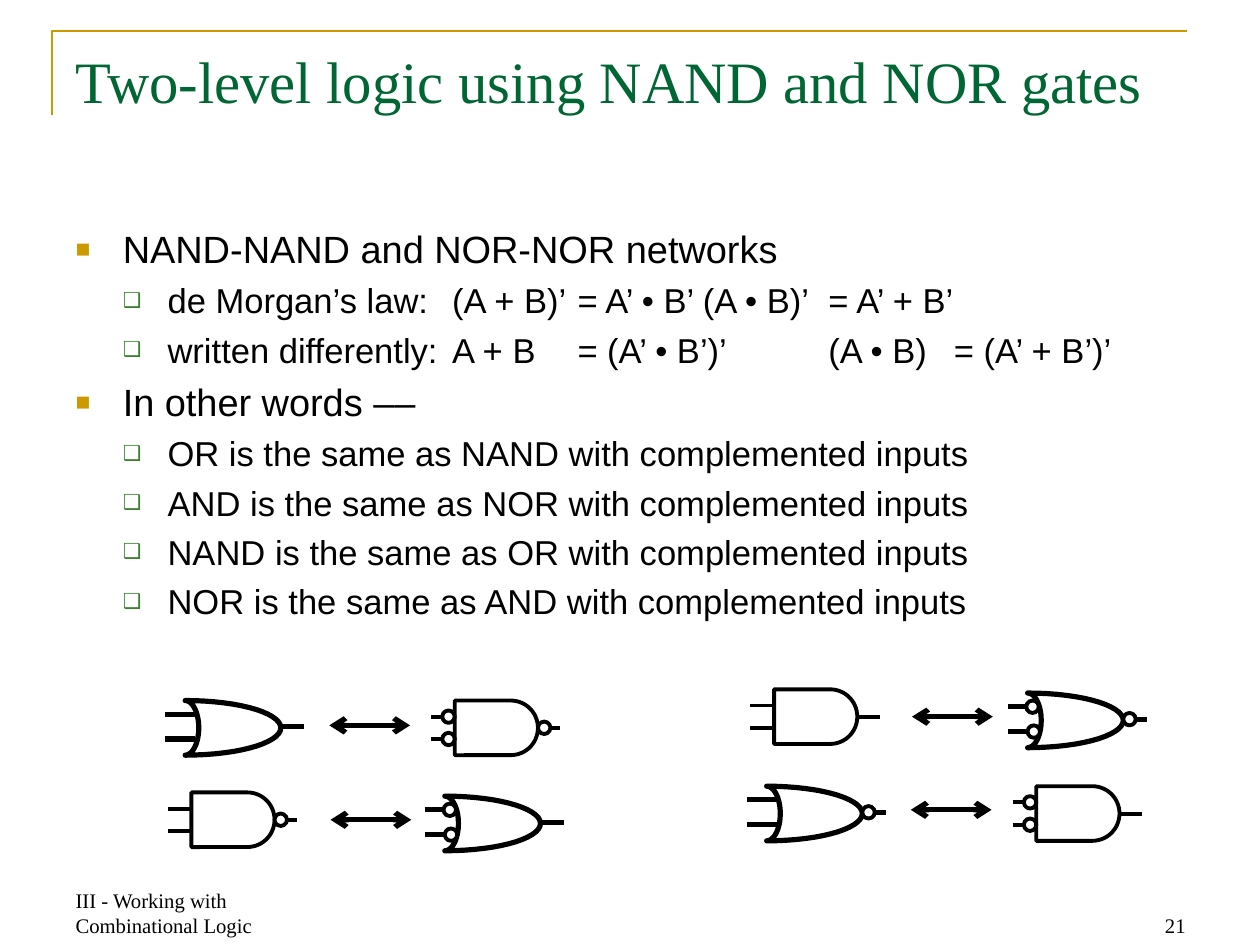
import math
import pptx
import pptx.util
import pptx.dml.color
import pptx.enum.shapes
import pptx.enum.text
import pptx.oxml
from pptx.oxml.ns import qn

Inches, Pt = pptx.util.Inches, pptx.util.Pt
RGBColor = pptx.dml.color.RGBColor
BLACK = RGBColor(0x00, 0x00, 0x00)
WHITE = RGBColor(0xFF, 0xFF, 0xFF)
GOLD = RGBColor(0xCC, 0x99, 0x00)
GREEN = RGBColor(0x00, 0x66, 0x33)
LEAF = RGBColor(0x3B, 0x81, 0x2F)
SERIF, SANS = "Times New Roman", "Arial"

# Content
TITLE = "Two-level logic using NAND and NOR gates"
FOOTER = "III - Working with Combinational Logic"
NUMBER = "21"
BODY = [
    (0, "NAND-NAND and NOR-NOR networks"),
    (1, "de Morgan’s law:\t(A + B)’\t= A’ • B’\t(A • B)’\t= A’ + B’"),
    (1, "written differently:\tA + B\t= (A’ • B’)’\t(A • B)\t= (A’ + B’)’"),
    (0, "In other words ––"),
    (1, "OR is the same as NAND with complemented inputs"),
    (1, "AND is the same as NOR with complemented inputs"),
    (1, "NAND is the same as OR with complemented inputs"),
    (1, "NOR is the same as AND with complemented inputs"),
]
# Per level: size, left margin, hanging indent, bullet, its colour and percent
LEVELS = [(22, 0.38, 0.38, "■", GOLD, 65), (20, 0.74, 0.36, "❑", LEAF, 60)]
TAB = 1.01

# Gates: kind, left, top, bubbles on inputs, bubble on output
GATES = [
    ("or", 1.33, 5.64, False, False), ("and", 3.47, 5.64, True, True),
    ("and", 1.35, 6.38, False, True), ("or", 3.42, 6.41, True, False),
    ("and", 6.04, 5.55, False, False), ("or", 8.11, 5.58, True, True),
    ("or", 6.01, 6.33, False, True), ("and", 8.15, 6.33, True, False),
]
ARROWS = [(2.65, 5.84), (2.66, 6.6), (7.34, 5.77), (7.33, 6.52)]
SPAN = 0.65
# Per kind: line width, input end, input heights, output start and end,
# input bubble centres, output bubble centre
PARTS = {
    "and": (2.25, 0.19, (0.13, 0.31), (0.85, 1.04),
            ((0.14, 0.13), (0.14, 0.31)), (0.91, 0.22)),
    "or": (3, 0.24, (0.11, 0.31), (0.92, 1.12),
           ((0.2, 0.11), (0.21, 0.31)), (0.98, 0.21)),
}
HALF = 0.22  # half the height of a gate

deck = pptx.Presentation()
deck.slide_width, deck.slide_height = Inches(10.14), Inches(7.6)
slide = deck.slides.add_slide(deck.slide_layouts[6])
shapes = slide.shapes


def add_box(left, top, width, height, anchor):
    frame = shapes.add_textbox(*map(Inches, (left, top, width, height))).text_frame
    frame.word_wrap = True
    frame.vertical_anchor = anchor
    return frame


def set_font(para, size, name, color):
    para.font.size, para.font.name = Pt(size), name
    para.font.color.rgb = color


def add_line(x1, y1, x2, y2, width):
    line = shapes.add_connector(pptx.enum.shapes.MSO_CONNECTOR.STRAIGHT,
                                *map(Inches, (x1, y1, x2, y2)))
    line.line.color.rgb, line.line.width = BLACK, Pt(width)
    props = line._element.spPr
    props.append(props.makeelement(qn("a:effectLst"), {}))
    return line


def add_path(points, color, width, close):
    points = [(Inches(x), Inches(y)) for x, y in points]
    pen = shapes.build_freeform(*points[0])
    pen.add_line_segments(points[1:], close=close)
    path = pen.convert_to_shape()
    path.shadow.inherit = False
    path.fill.background()
    path.line.color.rgb, path.line.width = color, Pt(width)


def curve(x, y, reach):
    """Right half of an ellipse, from top to bottom."""
    turns = [math.radians(a) for a in range(-90, 91, 6)]
    return [(x + reach * math.cos(t), y + HALF * math.sin(t)) for t in turns]


def add_bubble(x, y):
    dot = shapes.add_shape(pptx.enum.shapes.MSO_SHAPE.OVAL, Inches(x - 0.05),
                           Inches(y - 0.05), Inches(0.1), Inches(0.1))
    dot.shadow.inherit = False
    dot.fill.solid()
    dot.fill.fore_color.rgb = WHITE
    dot.line.color.rgb, dot.line.width = BLACK, Pt(2.25)


def add_gate(kind, x, y, dots_in, dot_out):
    width, end, rows, out, spots, tip = PARTS[kind]
    mid = y + HALF
    if kind == "and":
        edge = [(x + 0.19, y + 2 * HALF), (x + 0.19, y)] + curve(x + 0.64, mid, HALF)
    else:
        edge = curve(x + 0.16, mid, 0.77) + curve(x + 0.16, mid, 0.11)[::-1]
    add_path(edge, BLACK, width, True)
    for row in rows:
        add_line(x, y + row, x + end, y + row, width)
    add_line(x + out[0], y + tip[1], x + out[1], y + tip[1], width)
    for dx, dy in (spots if dots_in else ()) + ((tip,) if dot_out else ()):
        add_bubble(x + dx, y + dy)


# Frame line, title and footer
add_path([(0.42, 0.93), (0.42, 0.25), (9.55, 0.25)], GOLD, 1.5, False)
ANCHOR, ALIGN = pptx.enum.text.MSO_ANCHOR, pptx.enum.text.PP_ALIGN
LABELS = [
    (TITLE, (0.51, 0.31, 9.12, 1.26), ANCHOR.TOP, ALIGN.LEFT, 34, GREEN),
    (FOOTER, (0.51, 7.09, 2.37, 0.51), ANCHOR.BOTTOM, ALIGN.LEFT, 12, BLACK),
    (NUMBER, (7.27, 7.09, 2.37, 0.51), ANCHOR.BOTTOM, ALIGN.RIGHT, 12, BLACK),
]
for text, place, anchor, align, size, color in LABELS:
    para = add_box(*place, anchor).paragraphs[0]
    para.text, para.alignment = text, align
    set_font(para, size, SERIF, color)

# Bulleted text
frame = add_box(0.51, 1.77, 9.12, 5.02, ANCHOR.TOP)
for i, (level, text) in enumerate(BODY):
    size, margin, hang, mark, tint, scale = LEVELS[level]
    para = frame.add_paragraph() if i else frame.paragraphs[0]
    para.text, para.level = text, level
    props = para._p.get_or_add_pPr()
    props.set("marL", str(Inches(margin)))
    props.set("indent", str(-Inches(hang)))
    props.set("defTabSz", str(Inches(TAB)))
    if i:
        para.space_before = Pt(size * 0.23)
    color = props.makeelement(qn("a:buClr"), {})
    color.append(color.makeelement(qn("a:srgbClr"), {"val": str(tint)}))
    props.append(color)
    for tag, key, value in (("a:buSzPct", "val", str(scale * 1000)),
                            ("a:buFont", "typeface", SANS),
                            ("a:buChar", "char", mark)):
        props.append(props.makeelement(qn(tag), {key: value}))
    set_font(para, size, SANS, BLACK)

# Gates and the arrows between them
for gate in GATES:
    add_gate(*gate)
for x, y in ARROWS:
    pen = add_line(x, y, x + SPAN, y, 3).line._get_or_add_ln()
    for tag in ("a:headEnd", "a:tailEnd"):
        pen.append(pen.makeelement(qn(tag), {"type": "arrow"}))

deck.save("out.pptx")
